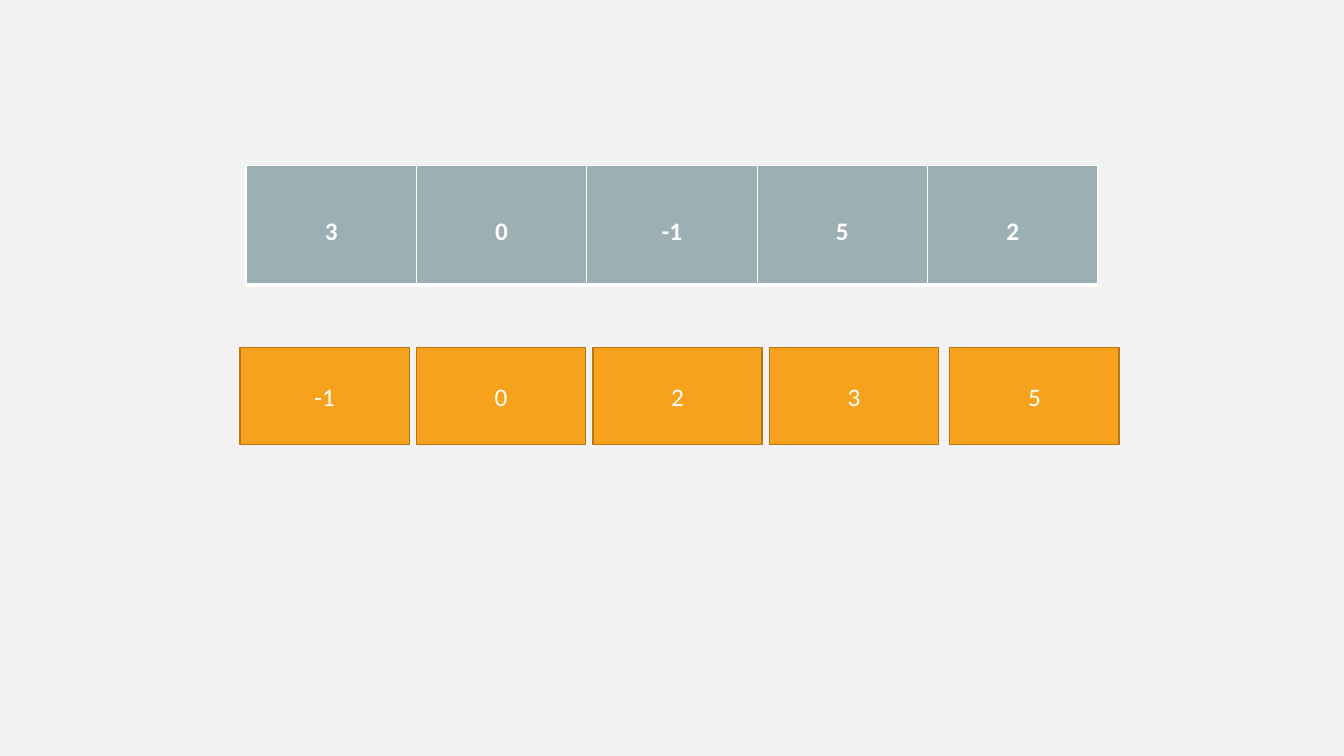
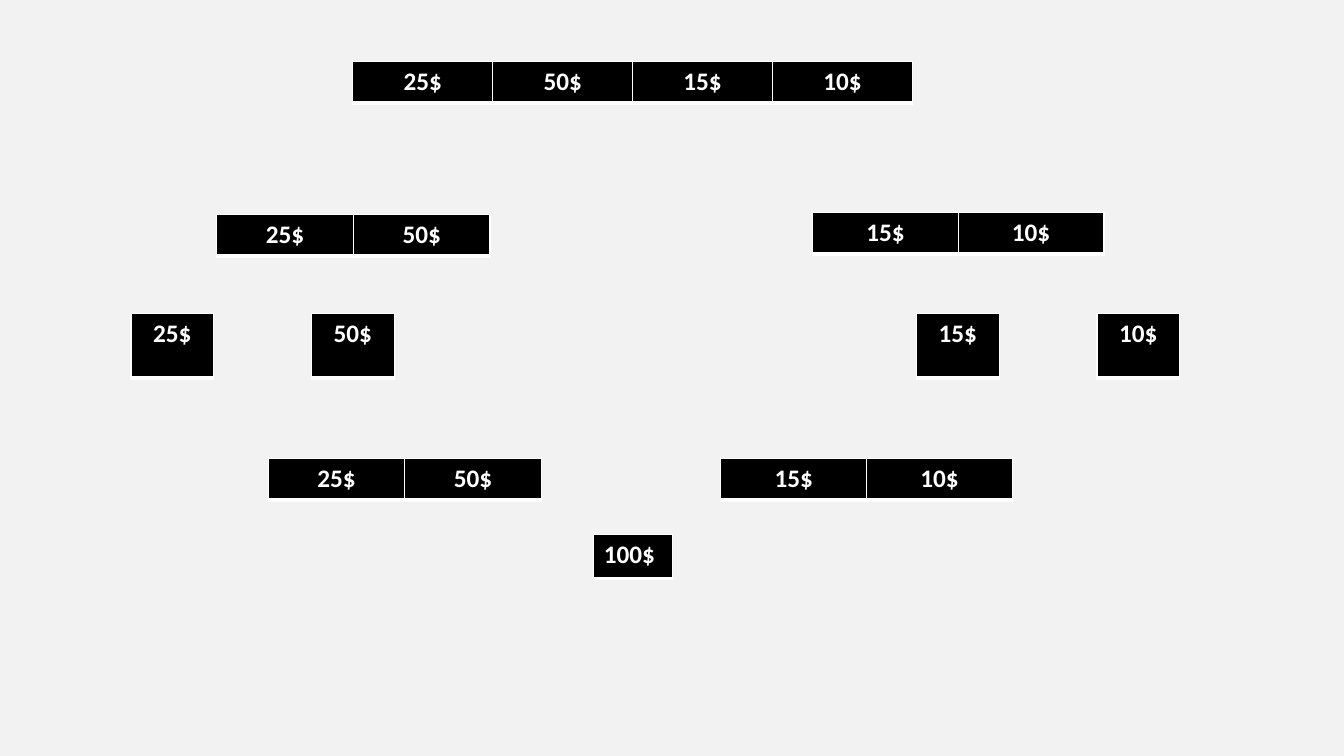
from lxml import etree
from pptx import Presentation
from pptx.dml.color import RGBColor
from pptx.enum.shapes import MSO_SHAPE
from pptx.enum.text import MSO_ANCHOR, PP_ALIGN
from pptx.oxml.ns import qn
from pptx.util import Inches, Pt

RECTANGLE = MSO_SHAPE.RECTANGLE
MIDDLE = MSO_ANCHOR.MIDDLE
LEFT, CENTER = PP_ALIGN.LEFT, PP_ALIGN.CENTER

COLORS = {
    "background": "F2F2F2",
    "text": "FFFFFF",
    "border": "FFFFFF",
    "unsorted": "9BAFB5",
    "sorted": "F6A21D",
    "sorted_line": "B67815",
    "amount": "000000",
}
FONT = "Calibri"
BORDER_WIDTHS = {"a:lnL": 1, "a:lnR": 1, "a:lnT": 1, "a:lnB": 3}
BLANK_LAYOUT = 6


def color(name):
    return RGBColor.from_string(COLORS[name])


def write_text(text_frame, text, bold=False, align=CENTER, line_spacing=None):
    paragraph = text_frame.paragraphs[0]
    paragraph.alignment = align
    if line_spacing:
        paragraph.line_spacing = line_spacing
    run = paragraph.add_run()
    run.text = text
    run.font.name = FONT
    run.font.size = Pt(18)
    run.font.bold = bold
    run.font.color.rgb = color("text")


def add_cell_borders(cell):
    properties = cell._tc.get_or_add_tcPr()
    for tag, width in BORDER_WIDTHS.items():
        line = etree.SubElement(properties, qn(tag), w=str(Pt(width)))
        fill = etree.SubElement(line, qn("a:solidFill"))
        etree.SubElement(fill, qn("a:srgbClr"), val=COLORS["border"])


def add_array(slide, box, values, fill="amount", **text_format):
    """Draw the values as a one-row table with equal columns filling the box."""
    left, top, width, height = map(Inches, box)
    table = slide.shapes.add_table(1, len(values), left, top, width, height).table
    table.first_row = table.horz_banding = False
    for column, cell, value in zip(table.columns, table.rows[0].cells, values):
        column.width = width // len(values)
        add_cell_borders(cell)
        cell.fill.solid()
        cell.fill.fore_color.rgb = color(fill)
        write_text(cell.text_frame, value, bold=True, **text_format)


def add_sorted_box(slide, box, value):
    shape = slide.shapes.add_shape(RECTANGLE, *map(Inches, box))
    shape.shadow.inherit = False
    shape.fill.solid()
    shape.fill.fore_color.rgb = color("sorted")
    shape.line.color.rgb = color("sorted_line")
    shape.line.width = Pt(1)
    shape.text_frame.vertical_anchor = MIDDLE
    write_text(shape.text_frame, value)


def add_sorted_row(slide, box, values, step, last_shift):
    """Repeat the box once per value; the last one stands slightly apart."""
    left, top, width, height = box
    for index, value in enumerate(values):
        shift = last_shift if index == len(values) - 1 else 0
        add_sorted_box(slide, (left + index * step + shift, top, width, height), value)


def build_sorting_slide(slide):
    add_array(slide, (2.44, 1.64, 8.45, 1.19), ["3", "0", "-1", "5", "2"],
              fill="unsorted", line_spacing=2.5)
    add_sorted_row(slide, (2.38, 3.45, 1.68, 0.96), ["-1", "0", "2", "3", "5"],
                   step=1.75, last_shift=0.04)


def build_merging_slide(slide):
    amounts = ["25$", "50$", "15$", "10$"]
    first_half, second_half = amounts[:2], amounts[2:]
    row_height = 0.41

    add_array(slide, (5.89, 5.3, 0.78, 0.44), ["100$"], align=LEFT)
    add_array(slide, (3.5, 0.61, 5.55, row_height), amounts)
    for left, top in ((2.15, 2.13), (2.66, 4.55)):
        add_array(slide, (left, top, 2.71, row_height), first_half)
    for left, top in ((8.06, 2.11), (7.15, 4.55)):
        add_array(slide, (left, top, 2.89, row_height), second_half)
    for left, amount in zip((1.3, 3.09, 9.09, 10.88), amounts):
        add_array(slide, (left, 3.11, 0.82, 0.64), [amount])


def main():
    presentation = Presentation()
    presentation.slide_width = Inches(13.33)
    presentation.slide_height = Inches(7.5)
    background = presentation.slide_master.background.fill
    background.solid()
    background.fore_color.rgb = color("background")
    for build in (build_sorting_slide, build_merging_slide):
        build(presentation.slides.add_slide(presentation.slide_layouts[BLANK_LAYOUT]))
    presentation.save("out.pptx")


if __name__ == "__main__":
    main()
